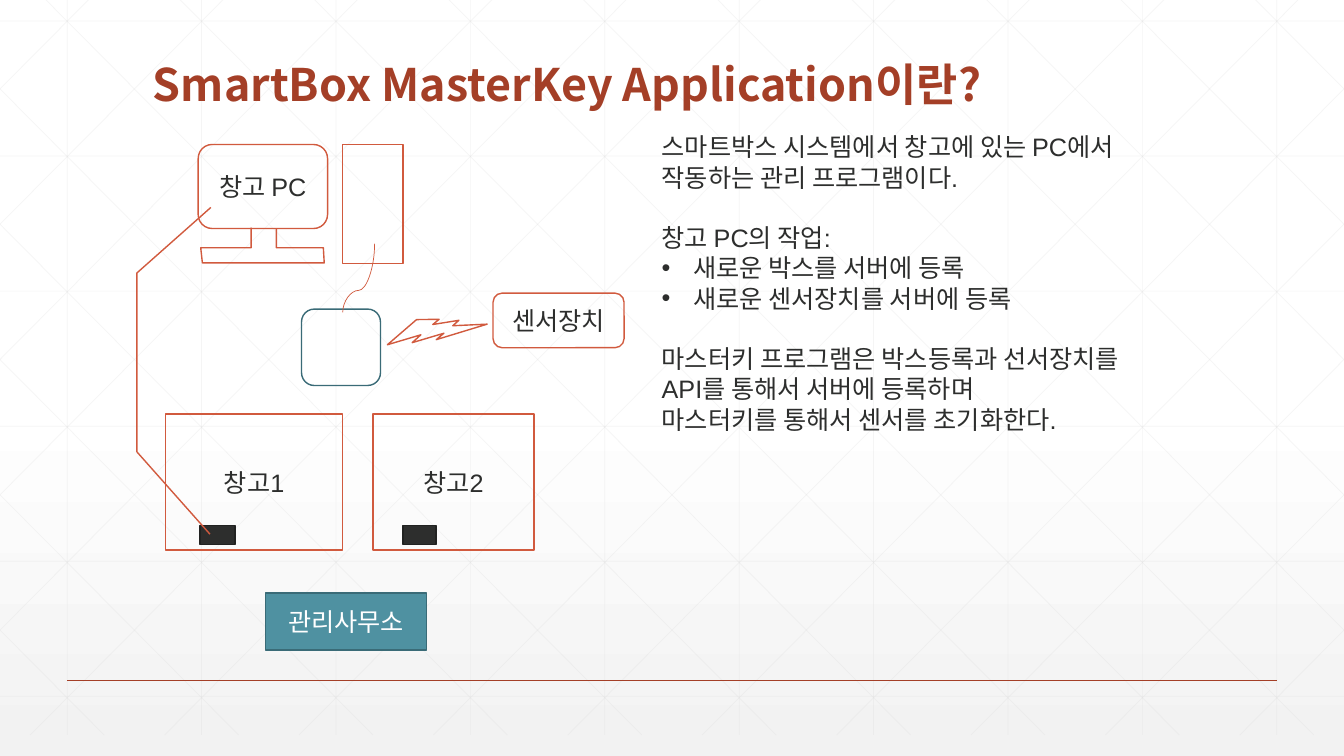
"""Builds the SmartBox MasterKey slide on a grid of 160 columns by 90 rows."""
import dataclasses

import lxml.etree
import pptx
import pptx.dml.color
import pptx.enum.shapes
import pptx.enum.text
import pptx.oxml.ns
import pptx.util

COLS, ROWS = 160, 90
CELL = pptx.util.Inches(1) // 12
SHAPE = pptx.enum.shapes.MSO_SHAPE
LINK = pptx.enum.shapes.MSO_CONNECTOR
ANCHOR = pptx.enum.text.MSO_ANCHOR
ALIGN = pptx.enum.text.PP_ALIGN


@dataclasses.dataclass(frozen=True)
class Theme:
    """Colours, fonts and type sizes of the slide."""
    accent: str = "D15A3E"
    title: str = "A43F27"
    teal: str = "4F91A1"
    teal_line: str = "3A6B77"
    ink: str = "2D2E2D"
    ink_line: str = "212221"
    mesh: str = "D9D9D9"
    white: str = "FFFFFF"
    shade: str = "F2F2F2"
    title_font: str = "Noto Sans CJK KR"
    body_font: str = "Arial"
    title_size: float = 32
    body_size: float = 18
    body_gap: float = 21.6


T = Theme()


def rgb(value):
    """Return the colour for a hex value."""
    return pptx.dml.color.RGBColor.from_string(value)


def cells(*counts):
    """Turn counts of grid cells into lengths."""
    return [pptx.util.Emu(round(n * CELL)) for n in counts]


def add_xml(parent, tag, **attrs):
    """Append a DrawingML element and return it."""
    return lxml.etree.SubElement(parent, pptx.oxml.ns.qn(tag), attrs)


def add_run(p, text, color, size=T.body_size, font=T.body_font, bold=False):
    """Add one formatted run to a paragraph."""
    r = p.add_run()
    r.text = text
    r.font.size = pptx.util.Pt(size)
    r.font.name = font
    r.font.bold = bold
    r.font.color.rgb = rgb(color)
    return r


def outline(sp, line, fill=None):
    """Give a shape its line and fill, without a shadow."""
    sp.shadow.inherit = False
    sp.line.color.rgb = rgb(line)
    sp.line.width = pptx.util.Pt(1)
    if fill:
        sp.fill.solid()
        sp.fill.fore_color.rgb = rgb(fill)
    else:
        sp.fill.background()


def add_box(s, kind, box, text="", line=T.accent, fill=None, color=T.ink):
    """Add a preset shape with an optional centred label."""
    sp = s.shapes.add_shape(kind, *cells(*box))
    outline(sp, line, fill)
    if text:
        tf = sp.text_frame
        tf.vertical_anchor = ANCHOR.MIDDLE
        p = tf.paragraphs[0]
        p.alignment = ALIGN.CENTER
        add_run(p, text, color)
    return sp


def add_path(s, points):
    """Add an open outline through grid points."""
    first, *rest = [cells(*point) for point in points]
    builder = s.shapes.build_freeform(*first, scale=1.0)
    builder.add_line_segments(rest, close=False)
    outline(builder.convert_to_shape(), T.accent)


def add_line(s, ends, color, width, kind=LINK.STRAIGHT):
    """Add a connector between two grid points."""
    cx = s.shapes.add_connector(kind, *cells(*ends))
    cx.line.color.rgb = rgb(color)
    cx.line.width = pptx.util.Pt(width)
    add_xml(cx._element.spPr, "a:effectLst")
    return cx


def mesh_ends():
    """Yield the ends of every background line, clipped to the slide sides."""
    top, bottom, pitch, run = -2.5, 87.5, 16, 89.4
    for x in range(8, COLS, pitch):
        yield x, top, x, bottom
    for k in range(6):
        y = 2.5 + k * 16.08
        yield 0, y, COLS, y
    slope = (bottom - top) / run
    for k in range(-5, 10):
        x = 3 + k * pitch
        x1, x2 = max(x, 0), min(x + run, COLS)
        y1, y2 = top + (x1 - x) * slope, top + (x2 - x) * slope
        yield x1, y1, x2, y2
        yield COLS - x1, y1, COLS - x2, y2


def add_background(s):
    """Paint the gradient, the mesh and the bottom rule."""
    fill = s.background.fill
    fill.gradient()
    fill.gradient_angle = 270
    for stop, color, position in zip(fill.gradient_stops, (T.white, T.shade), (0.53, 1)):
        stop.color.rgb = rgb(color)
        stop.position = position
    for ends in mesh_ends():
        cx = add_line(s, ends, T.mesh, 0.5)
        clr = next(cx._element.iter(pptx.oxml.ns.qn("a:srgbClr")))
        add_xml(clr, "a:alpha", val="25000")
    add_line(s, (8, 81, 152, 81), T.title, 1)


def add_title(s, text):
    """Place and format the title placeholder above the mesh."""
    sp = s.shapes.title
    sp.left, sp.top, sp.width, sp.height = cells(17, 6.6, 126, 7.2)
    s.shapes._spTree.append(sp._element)
    tf = sp.text_frame
    tf.vertical_anchor = ANCHOR.BOTTOM
    p = tf.paragraphs[0]
    p.alignment = ALIGN.LEFT
    p.line_spacing = 0.9
    r = add_run(p, text, T.title, T.title_size, T.title_font, True)
    add_xml(r._r.get_or_add_rPr(), "a:ea", typeface=T.title_font)


def add_description(s, box, paragraphs):
    """Add the text box from (text, bulleted, gap before) rows."""
    tf = s.shapes.add_textbox(*cells(*box)).text_frame
    tf.word_wrap = True
    for i, (text, bulleted, gap) in enumerate(paragraphs):
        p = tf.add_paragraph() if i else tf.paragraphs[0]
        if gap:
            p.space_before = pptx.util.Pt(T.body_gap)
        if bulleted:
            indent = cells(3.75)[0]
            pPr = p._p.get_or_add_pPr()
            pPr.set("marL", str(indent))
            pPr.set("indent", str(-indent))
            add_xml(pPr, "a:buFont", typeface=T.body_font)
            add_xml(pPr, "a:buChar", char="•")
        add_run(p, text, T.ink)


def add_curve(s, ends, bend):
    """Add a curved cable turned a quarter clockwise."""
    cx = add_line(s, ends, T.accent, 0.5, LINK.CURVE)
    cx._element.spPr.find(pptx.oxml.ns.qn("a:xfrm")).set("rot", "5400000")
    geom = cx._element.spPr.find(pptx.oxml.ns.qn("a:prstGeom"))
    guides = geom.find(pptx.oxml.ns.qn("a:avLst"))
    add_xml(guides, "a:gd", name="adj1", fmla=f"val {round(bend * 100000)}")


def add_diagram(s):
    """Draw the PC, the hub, the sensor, the warehouses and the office."""
    add_box(s, SHAPE.ROUNDED_RECTANGLE, (35.9, 36.8, 9.4, 9.1), line=T.teal_line)
    add_box(s, SHAPE.ROUNDED_RECTANGLE, (23.6, 17.2, 15.4, 10), "창고 PC")
    add_path(s, [(29.9, 27.1), (29.9, 29.5), (23.9, 29.5), (24.1, 31.3),
                 (38.6, 31.3), (38.5, 29.5), (32.9, 29.5), (32.9, 27.2)])
    add_box(s, SHAPE.RECTANGLE, (40.8, 17.2, 7.2, 14.2))
    add_curve(s, (38.6, 31.2, 46.8, 35), 0.68)
    for text, x, w, lock_x, lock_w in (("창고1", 19.7, 21.1, 23.8, 4.2),
                                       ("창고2", 44.4, 19.2, 48, 3.9)):
        add_box(s, SHAPE.RECTANGLE, (x, 49.3, w, 16.2), text)
        add_box(s, SHAPE.RECTANGLE, (lock_x, 62.6, lock_w, 2.2), line=T.ink_line, fill=T.ink)
    add_box(s, SHAPE.RECTANGLE, (31.6, 70.6, 19.2, 6.8), "관리사무소",
            T.teal_line, T.teal, T.white)
    add_path(s, [(25.1, 24.7), (16.3, 32.5), (16.3, 53.8), (25, 63.6)])
    add_box(s, SHAPE.ROUNDED_RECTANGLE, (58.7, 34.9, 15.6, 6.5), "센서장치")
    add_box(s, SHAPE.LIGHTNING_BOLT, (46.1, 37.1, 11.5, 4.7)).rotation = 329.8


def main():
    """Build and save the slide."""
    prs = pptx.Presentation()
    prs.slide_width, prs.slide_height = cells(COLS, ROWS)
    s = prs.slides.add_slide(prs.slide_layouts.get_by_name("Title Only"))
    add_background(s)
    add_title(s, "SmartBox MasterKey Application이란?")
    add_diagram(s)
    add_description(s, (77.6, 15.1, 61.9, 41.2), [
        ("스마트박스 시스템에서 창고에 있는 PC에서 작동하는 관리 프로그램이다.", False, False),
        ("창고 PC의 작업:", False, True),
        ("새로운 박스를 서버에 등록", True, False),
        ("새로운 센서장치를 서버에 등록", True, False),
        ("마스터키 프로그램은 박스등록과 선서장치를 API를 통해서 서버에 등록하며", False, True),
        ("마스터키를 통해서 센서를 초기화한다.", False, False),
    ])
    prs.save("out.pptx")


if __name__ == "__main__":
    main()
